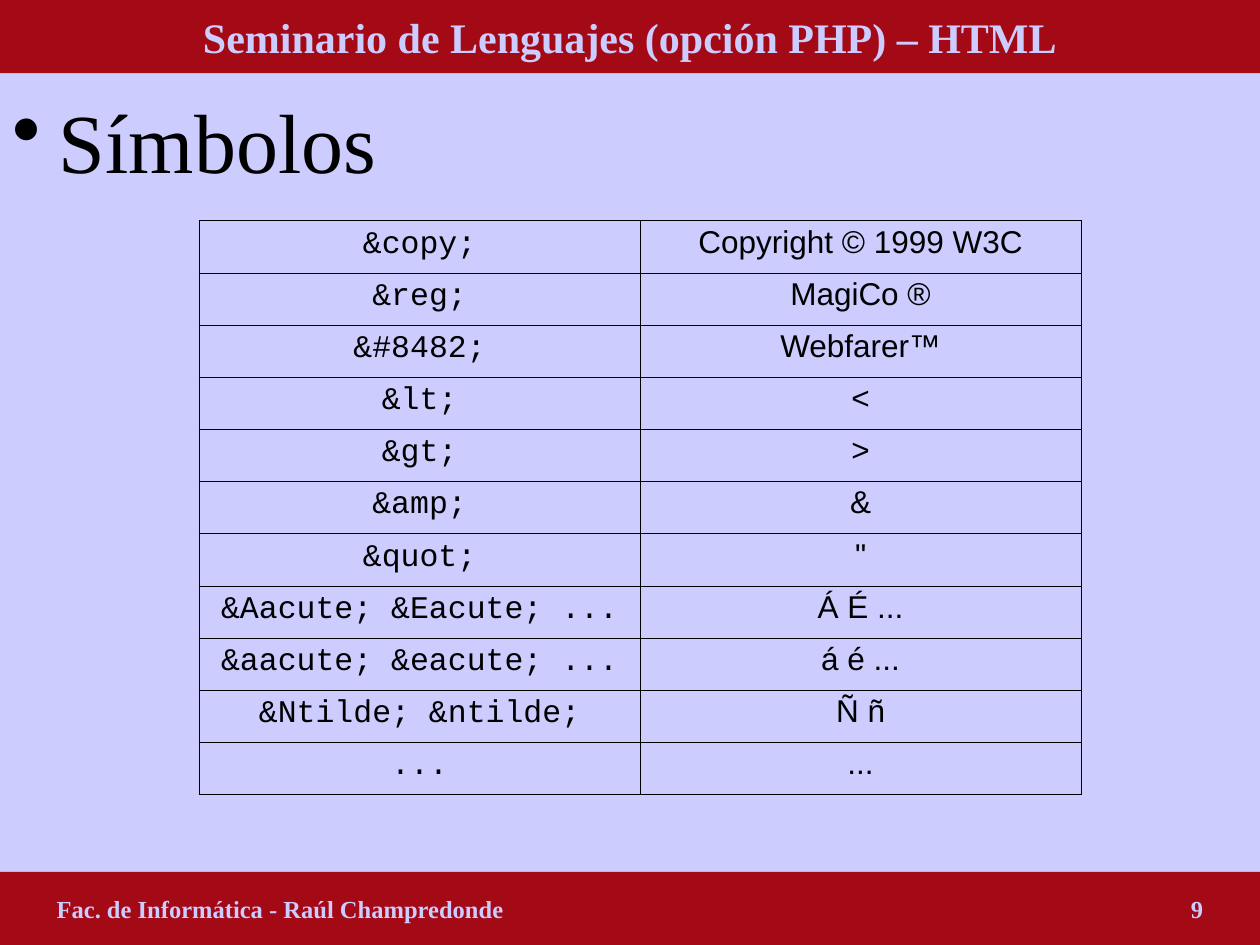
from dataclasses import dataclass

from lxml.etree import SubElement
from pptx import Presentation
from pptx.dml.color import RGBColor
from pptx.enum.shapes import MSO_SHAPE
from pptx.enum.text import MSO_ANCHOR, PP_ALIGN
from pptx.oxml import parse_xml
from pptx.oxml.ns import nsdecls, qn
from pptx.util import Inches, Pt


@dataclass(frozen=True)
class Theme:
    background: str = "CCCCFF"
    band: str = "A30A16"
    ink: str = "000000"
    serif: str = "Times New Roman"
    sans: str = "Arial"
    mono: str = "Courier New"
    heading_size: float = 48
    title_size: float = 24
    table_size: float = 18
    footer_size: float = 14
    outer_line: float = 0.5
    inner_line: float = 0.23


theme = Theme()

# Page grid: 100 columns by 75 rows of square units
UNIT = Inches(0.1)
COLUMNS, ROWS = 100, 75


def grid(*units):
    return [round(unit * UNIT) for unit in units]


def write(para, text, name, size, color, bold=False):
    span = para.add_run()
    span.text = text
    for key, value in {"name": name, "size": Pt(size), "bold": bold}.items():
        setattr(span.font, key, value)
    span.font.color.rgb = RGBColor.from_string(color)


deck = Presentation()
deck.slide_width, deck.slide_height = grid(COLUMNS, ROWS)
page = deck.slides.add_slide(deck.slide_layouts[6])
page.background.fill.solid()
page.background.fill.fore_color.rgb = RGBColor.from_string(theme.background)

# Bulleted heading
BAND_ROWS = 5.8
box = page.shapes.add_textbox(*grid(0, BAND_ROWS, COLUMNS, 63.3))
box.text_frame.word_wrap = True
box.text_frame.margin_top = grid(1.3)[0]
para = box.text_frame.paragraphs[0]
properties = para._p.get_or_add_pPr()
indent = grid(3.7)[0]
for key, value in {"marL": indent, "indent": -indent}.items():
    properties.set(key, str(value))
bullet_color = SubElement(properties, qn("a:buClr"))
SubElement(bullet_color, qn("a:srgbClr"), val=theme.ink)
SubElement(properties, qn("a:buChar"), char="•")
write(para, "Símbolos", theme.serif, theme.heading_size, theme.ink)

# Title and footer bands
FOOTER_INSET = 4.5
bands = [
    (0, "Seminario de Lenguajes (opción PHP) – HTML",
     theme.title_size, PP_ALIGN.CENTER, 1),
    (ROWS - BAND_ROWS, "Fac. de Informática - Raúl Champredonde\t9",
     theme.footer_size, PP_ALIGN.LEFT, FOOTER_INSET),
]
for top, text, size, alignment, inset in bands:
    band = page.shapes.add_shape(
        MSO_SHAPE.RECTANGLE, *grid(0, top, COLUMNS, BAND_ROWS))
    band.shadow.inherit = False
    band.fill.solid()
    band.fill.fore_color.rgb = RGBColor.from_string(theme.band)
    band.line.fill.background()
    frame = band.text_frame
    layout = {"word_wrap": True, "vertical_anchor": MSO_ANCHOR.MIDDLE,
              "margin_left": grid(inset)[0], "margin_right": grid(1)[0]}
    for key, value in layout.items():
        setattr(frame, key, value)
    para = frame.paragraphs[0]
    para.alignment = alignment
    if "\t" in text:
        # The page number ends as far from the edge as the text starts
        stops = SubElement(para._p.get_or_add_pPr(), qn("a:tabLst"))
        stop = grid(COLUMNS - 2 * FOOTER_INSET)[0]
        SubElement(stops, qn("a:tab"), pos=str(stop), algn="r")
    write(para, text, theme.serif, size, theme.background, bold=True)

# Table of HTML entities and the symbols they show
symbols = [
    ("&copy;", "Copyright © 1999 W3C"),
    ("&reg;", "MagiCo ®"),
    ("&#8482;", "Webfarer™"),
    ("&lt;", "<"),
    ("&gt;", ">"),
    ("&amp;", "&"),
    ("&quot;", '"'),
    ("&Aacute; &Eacute; ...", "Á É ..."),
    ("&aacute; &eacute; ...", "á é ..."),
    ("&Ntilde; &ntilde;", "Ñ ñ"),
    ("...", "..."),
]
column_styles = [(theme.mono, 0.94), (theme.sans, 0.93)]
last_row, last_column = len(symbols) - 1, len(column_styles) - 1
table = page.shapes.add_table(
    len(symbols), len(column_styles), *grid(15.8, 17.5, 70, 45.6)).table
table.first_row = table.horz_banding = False

for row, texts in enumerate(symbols):
    for column, text in enumerate(texts):
        cell = table.cell(row, column)
        cell.fill.background()
        font_name, spacing = column_styles[column]
        para = cell.text_frame.paragraphs[0]
        para.alignment = PP_ALIGN.CENTER
        para.line_spacing = spacing
        write(para, text, font_name, theme.table_size, theme.ink)

        # Borders are heavier on the outside of the table
        outer_sides = {"lnL": column == 0, "lnR": column == last_column,
                       "lnT": row == 0, "lnB": row == last_row}
        for place, (side, outer) in enumerate(outer_sides.items()):
            width = Pt(theme.outer_line if outer else theme.inner_line)
            border = parse_xml(
                f'<a:{side} {nsdecls("a")} w="{width}"><a:solidFill>'
                f'<a:srgbClr val="{theme.ink}"/></a:solidFill></a:{side}>')
            cell._tc.get_or_add_tcPr().insert(place, border)

deck.save("out.pptx")
